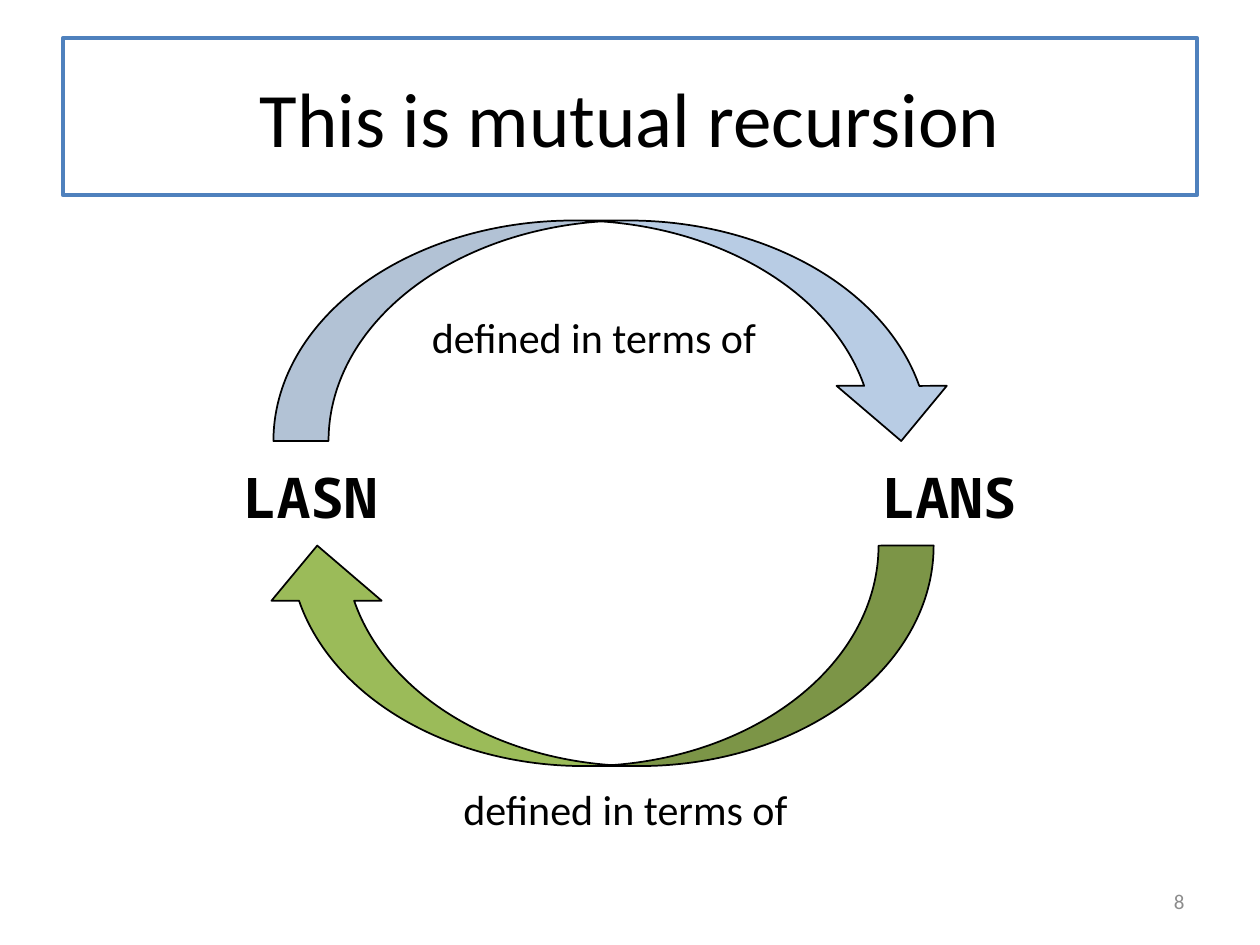
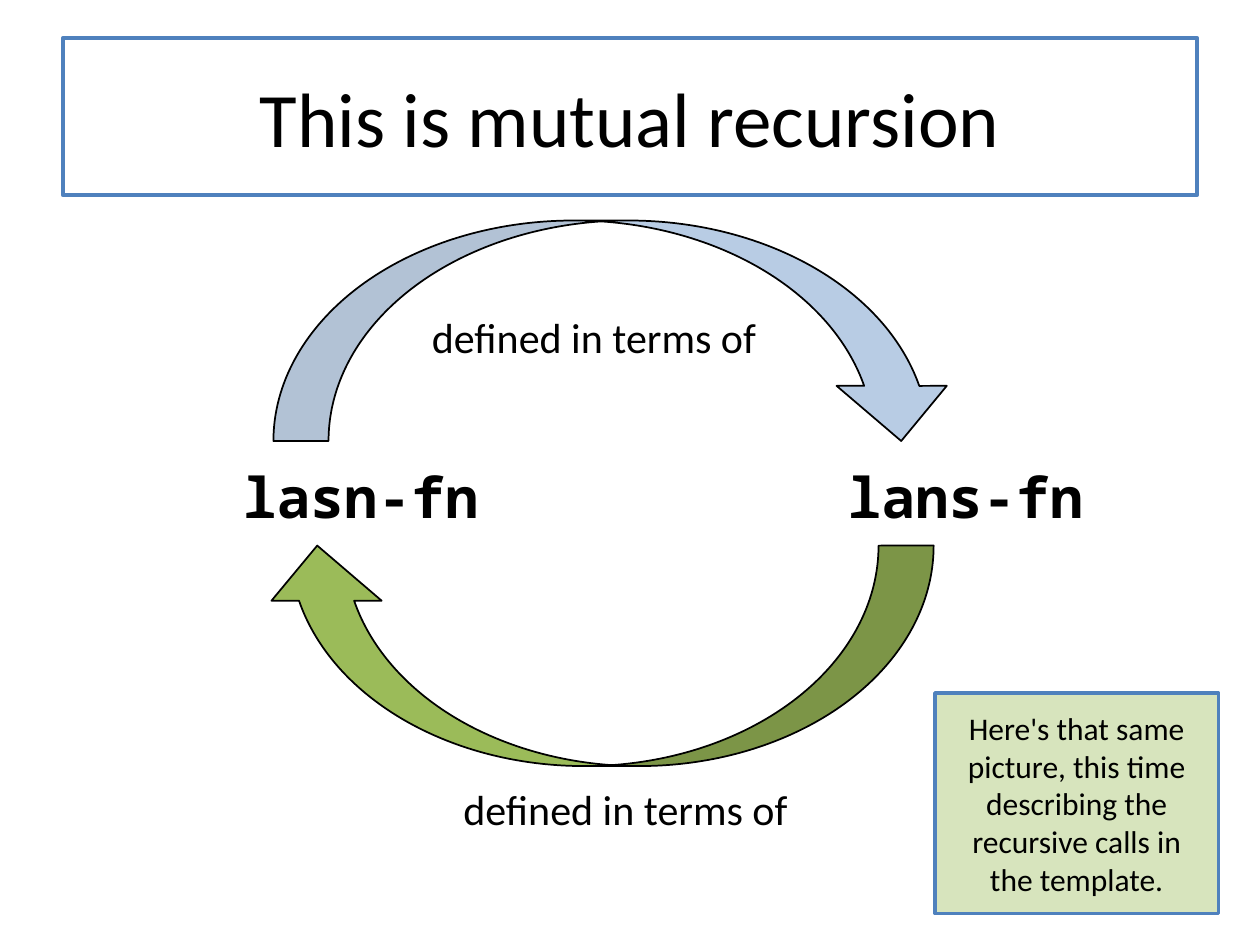
from lxml.etree import SubElement
from pptx import Presentation
from pptx.dml.color import RGBColor
from pptx.enum.shapes import MSO_SHAPE
from pptx.enum.text import MSO_ANCHOR, MSO_AUTO_SIZE, PP_ALIGN
from pptx.oxml.ns import qn
from pptx.util import Inches, Pt

BLACK, WHITE, GRAY = "000000", "FFFFFF", "8C8C8C"
BLUE, GREEN, PALE_GREEN = "4F81BD", "9BBB59", "D7E4BD"


def paint(shape, fill, line, width):
    """Give a shape a solid fill and an outline."""
    shape.fill.solid()
    shape.fill.fore_color.rgb = RGBColor.from_string(fill)
    shape.line.color.rgb = RGBColor.from_string(line)
    shape.line.width = Pt(width)


def write(shape, text, size=24, font="Calibri", color=BLACK, bold=False,
          align=PP_ALIGN.LEFT, anchor=MSO_ANCHOR.TOP):
    """Write one formatted paragraph into a shape and return it."""
    frame = shape.text_frame
    frame.word_wrap = True
    frame.auto_size = MSO_AUTO_SIZE.NONE
    frame.vertical_anchor = anchor
    paragraph = frame.paragraphs[0]
    paragraph.alignment = align
    run = paragraph.add_run()
    run.text = text
    run.font.size = Pt(size)
    run.font.name = font
    run.font.bold = bold
    run.font.color.rgb = RGBColor.from_string(color)
    return paragraph


presentation = Presentation()
presentation.slide_width = Inches(10)
presentation.slide_height = Inches(7.5)
two_content_layout = presentation.slide_layouts[3]

# The two names of each slide, each with its left edge in inches
cycles = [
    [("LASN", 1.83), ("LANS", 6.9)],
    [("lasn-fn", 1.83), ("lans-fn", 6.63)],
]
# Left, top, width, fill, opacity in percent, rotation
arrows = [(2.17, 1.75, 5.42, BLUE, 40, 0), (2.08, 4.33, 5.33, GREEN, 100, 180)]
caption_corners = [(3.33, 2.42), (3.58, 6.17)]

for names in cycles:
    slide = presentation.slides.add_slide(two_content_layout)

    title = slide.shapes.title
    title.left, title.top = Inches(0.5), Inches(0.3)
    title.width, title.height = Inches(9), Inches(1.25)
    paint(title, WHITE, BLUE, 2.25)
    write(title, "This is mutual recursion", size=44,
          align=PP_ALIGN.CENTER, anchor=MSO_ANCHOR.MIDDLE)

    for index, (name, left) in enumerate(names, start=1):
        body = slide.placeholders[index]
        body.left, body.top = Inches(left), Inches(3.62)
        body.width, body.height = Inches(2.25), Inches(0.7)
        paragraph = write(body, name, size=32, font="Noto Sans Mono", bold=True)
        paragraph.space_before = Pt(0)
        properties = paragraph._p.get_or_add_pPr()
        properties.set("marL", "0")
        properties.set("indent", "0")
        SubElement(properties, qn("a:buNone"))

    for left, top, width, fill, opacity, rotation in arrows:
        arrow = slide.shapes.add_shape(
            MSO_SHAPE.CURVED_DOWN_ARROW,
            Inches(left), Inches(top), Inches(width), Inches(1.75))
        arrow.shadow.inherit = False
        arrow.rotation = rotation
        paint(arrow, fill, BLACK, 1)
        if opacity < 100:
            color = arrow._element.spPr.find(qn("a:solidFill"))[0]
            SubElement(color, qn("a:alpha"), val=str(opacity * 1000))

    for left, top in caption_corners:
        caption = slide.shapes.add_textbox(
            Inches(left), Inches(top), Inches(3), Inches(0.5))
        write(caption, "defined in terms of")

first_slide, second_slide = presentation.slides

slide_number = first_slide.shapes.add_textbox(
    Inches(7.17), Inches(6.95), Inches(2.33), Inches(0.4))
write(slide_number, "8", size=12, color=GRAY,
      align=PP_ALIGN.RIGHT, anchor=MSO_ANCHOR.MIDDLE)

note = second_slide.shapes.add_shape(
    MSO_SHAPE.RECTANGLE, Inches(7.42), Inches(5.5), Inches(2.25), Inches(1.75))
note.shadow.inherit = False
paint(note, PALE_GREEN, BLUE, 2)
note.text_frame.margin_left = note.text_frame.margin_right = Inches(0.15)
write(note, "Here's that same picture, this time describing the recursive "
            "calls in the template.",
      size=18, align=PP_ALIGN.CENTER, anchor=MSO_ANCHOR.MIDDLE)

presentation.save("out.pptx")
